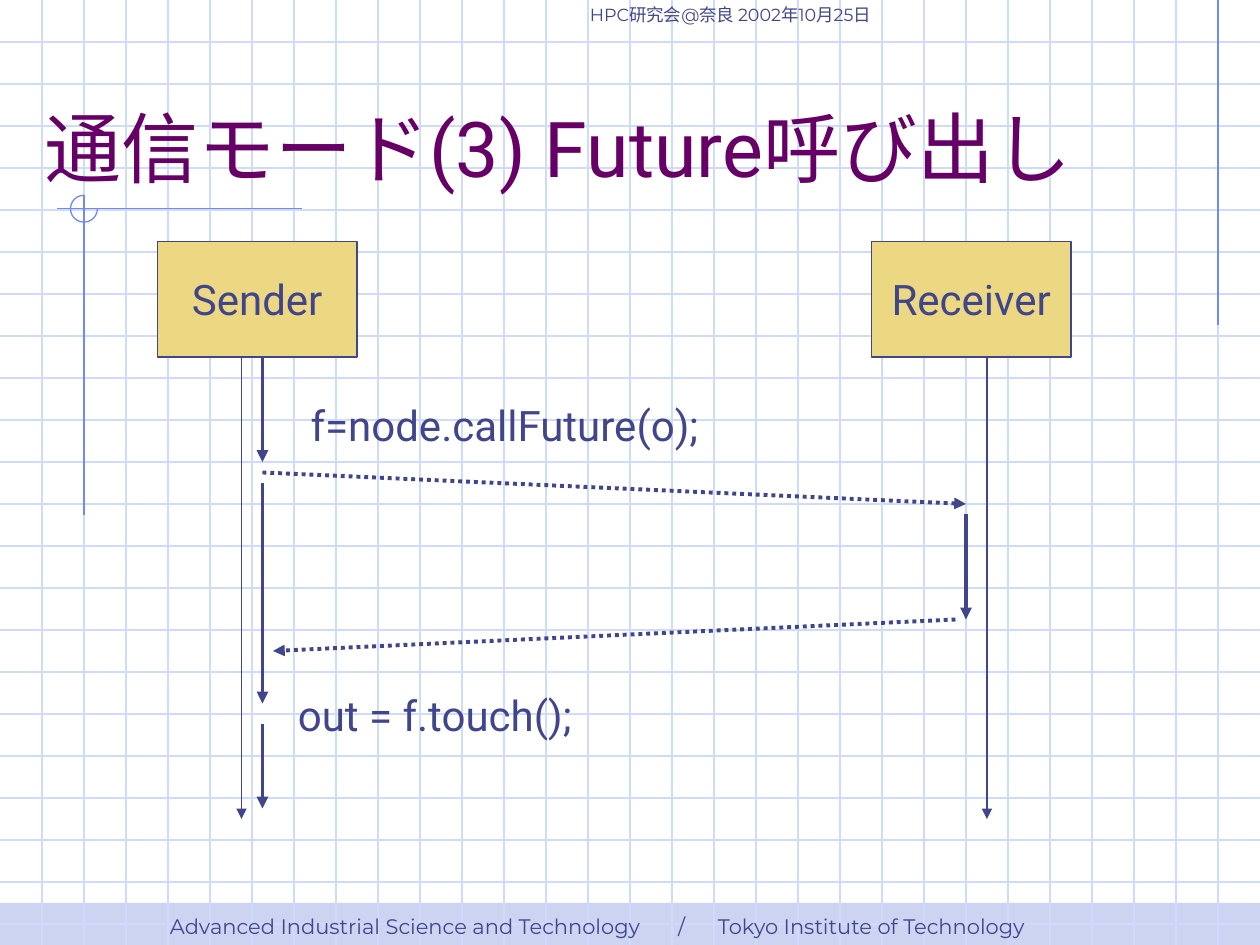
"""Build the sequence diagram slide for the Future call mode."""
from lxml import etree
from pptx import Presentation
from pptx.dml.color import RGBColor
from pptx.enum.dml import MSO_LINE
from pptx.enum.shapes import MSO_CONNECTOR, MSO_SHAPE
from pptx.enum.text import MSO_ANCHOR, PP_ALIGN
from pptx.oxml.ns import qn
from pptx.util import Cm, Pt

STRAIGHT = MSO_CONNECTOR.STRAIGHT
RECTANGLE, ARC = MSO_SHAPE.RECTANGLE, MSO_SHAPE.ARC
DOTTED = MSO_LINE.ROUND_DOT
LEFT, CENTER = PP_ALIGN.LEFT, PP_ALIGN.CENTER
TOP, MIDDLE, BOTTOM = MSO_ANCHOR.TOP, MSO_ANCHOR.MIDDLE, MSO_ANCHOR.BOTTOM

COLUMNS, ROWS = 30, 22.5
CELL = 25.4 / COLUMNS


def grid(cells):
    return Cm(cells * CELL)


def color(hex_string):
    return RGBColor.from_string(hex_string)


class Diagram:
    INK, GRID, ACCENT = "40458C", "CFDBFD", "6F89F7"
    BAND, BOX, TITLE = "CDD4F1", "ECD882", "660066"
    BODY, SMALL = "Roboto", "Montserrat"
    THIN, THICK = 0.75, 2.25

    def __init__(self, slide):
        self.slide = slide
        self.shapes = slide.shapes

    def fill_text(self, frame, text, size, font=BODY, ink=INK, align=LEFT, anchor=TOP, wrap=True):
        frame.text = text
        frame.word_wrap = wrap
        frame.vertical_anchor = anchor
        paragraph = frame.paragraphs[0]
        paragraph.alignment = align
        for run in paragraph.runs:
            run.font.size = Pt(size)
            run.font.name = font
            run.font.color.rgb = color(ink)
        return paragraph

    def title(self, text, left, top, width, height):
        heading = self.shapes.title
        heading.left, heading.top = grid(left), grid(top)
        heading.width, heading.height = grid(width), grid(height)
        self.fill_text(heading.text_frame, text, 44, ink=self.TITLE, anchor=BOTTOM)
        heading._element.getparent().append(heading._element)

    def label(self, text, left, top, width, height, size=24, tabs=(), **style):
        box = self.shapes.add_textbox(grid(left), grid(top), grid(width), grid(height))
        paragraph = self.fill_text(box.text_frame, text, size, **style)
        if tabs:
            stops = etree.SubElement(paragraph._p.get_or_add_pPr(), qn("a:tabLst"))
            for stop in tabs:
                etree.SubElement(stops, qn("a:tab"), pos=str(grid(stop)), algn="l")

    def shape(self, kind, left, top, width, height, fill=None, line=None):
        shape = self.shapes.add_shape(kind, grid(left), grid(top), grid(width), grid(height))
        shape.shadow.inherit = False
        if fill:
            shape.fill.solid()
            shape.fill.fore_color.rgb = color(fill)
        else:
            shape.fill.background()
        if line:
            shape.line.color.rgb = color(line)
            shape.line.width = Pt(self.THIN)
        else:
            shape.line.fill.background()
        return shape

    def participant(self, text, left):
        box = self.shape(RECTANGLE, left, 5.75, 4.75, 2.75, self.BOX, self.INK)
        self.fill_text(box.text_frame, text, 24, align=CENTER, anchor=MIDDLE, wrap=False)

    def line(self, x1, y1, x2, y2, ink=INK, width=THIN):
        line = self.shapes.add_connector(STRAIGHT, grid(x1), grid(y1), grid(x2), grid(y2))
        line.line.color.rgb = color(ink)
        line.line.width = Pt(width)
        etree.SubElement(line._element.spPr, qn("a:effectLst"))
        return line

    def arrow(self, x1, y1, x2, y2, width=THICK, dash=None):
        arrow = self.line(x1, y1, x2, y2, width=width)
        if dash:
            arrow.line.dash_style = dash
        etree.SubElement(arrow.line._get_or_add_ln(), qn("a:tailEnd"), type="triangle")

    def backdrop(self):
        self.shape(RECTANGLE, 0, 21.5, COLUMNS, 1, self.BAND)
        for row in range(1, 23):
            self.line(0, row, COLUMNS, row, self.GRID)
        for column in range(1, COLUMNS):
            self.line(column, 0, column, ROWS, self.GRID)
        self.line(29, 0, 29, 7.75, self.ACCENT)
        self.line(7.2, 4.97, 1.35, 4.97, self.ACCENT)
        self.line(2, 4.65, 2, 12.27, self.ACCENT)
        ring = self.shape(ARC, 1.68, 4.65, 0.64, 0.64, line=self.ACCENT)
        ring.adjustments[0] = 0
        ring.adjustments[1] = 162


def main():
    presentation = Presentation()
    presentation.slide_width, presentation.slide_height = grid(COLUMNS), grid(ROWS)
    diagram = Diagram(presentation.slides.add_slide(presentation.slide_layouts[5]))
    small = {"font": Diagram.SMALL, "anchor": BOTTOM}

    diagram.backdrop()
    diagram.label(
        "Advanced Industrial Science and Technology\t/\tTokyo Institute of Technology",
        3.75, 21.75, 24, 0.75, size=12, tabs=(12.1, 13.05), **small)
    diagram.title("通信モード(3) Future呼び出し", 0.75, 1, 28.5, 3.75)

    diagram.participant("Sender", 3.75)
    diagram.participant("Receiver", 20.75)
    for lifeline in (5.75, 23.5):
        diagram.arrow(lifeline, 8.5, lifeline, 19.5, Diagram.THIN)
    for activity, start, end in ((6.25, 8.5, 11), (6.25, 11.5, 16.75),
                                 (6.25, 17.25, 19.25), (23, 12.25, 14.75)):
        diagram.arrow(activity, start, activity, end)
    diagram.arrow(6.25, 11.25, 23, 12, dash=DOTTED)
    diagram.arrow(22.75, 14.75, 6.5, 15.5, dash=DOTTED)

    diagram.label("f=node.callFuture(o);", 7.1, 9.36, 10.3, 1.5, wrap=False)
    diagram.label("out = f.touch();", 6.8, 16.26, 7.15, 1.5, wrap=False)
    diagram.label("HPC研究会@奈良 2002年10月25日", 13.75, 0, 12.25, 0.75, size=10, **small)
    presentation.save("out.pptx")


if __name__ == "__main__":
    main()
